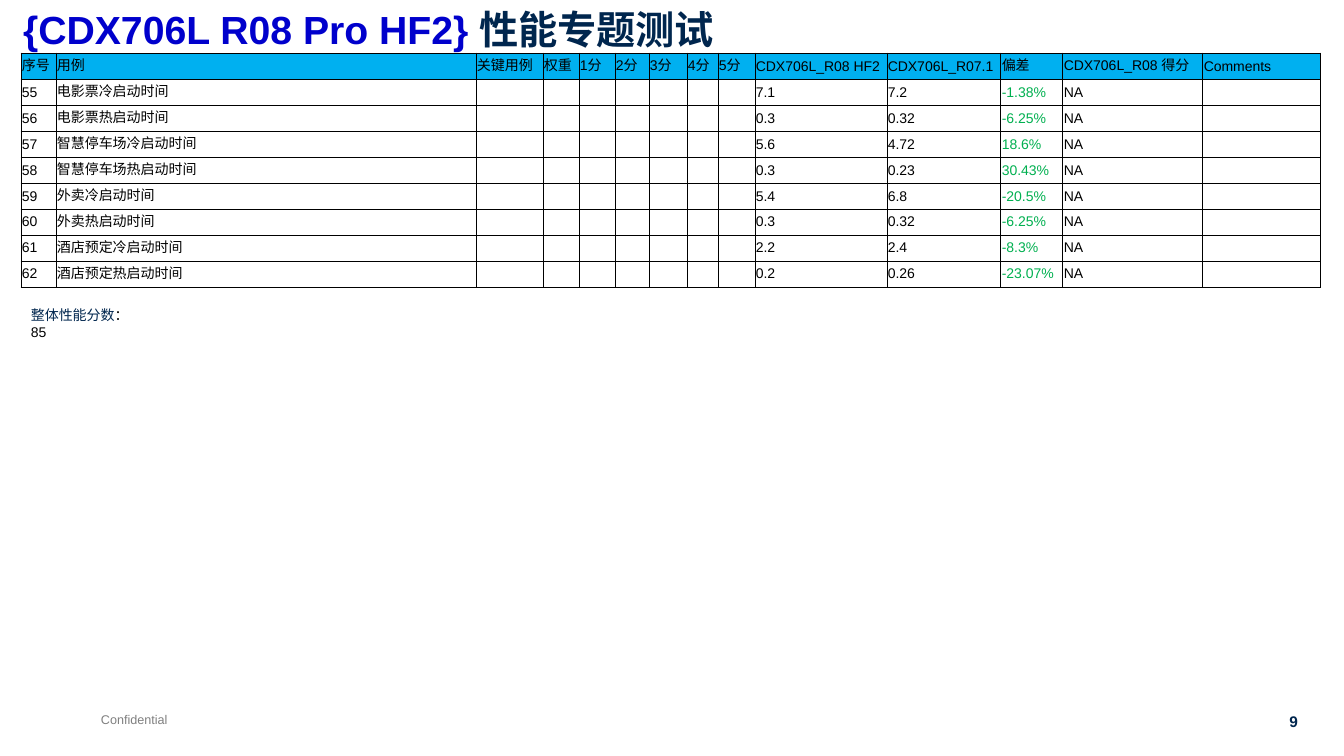
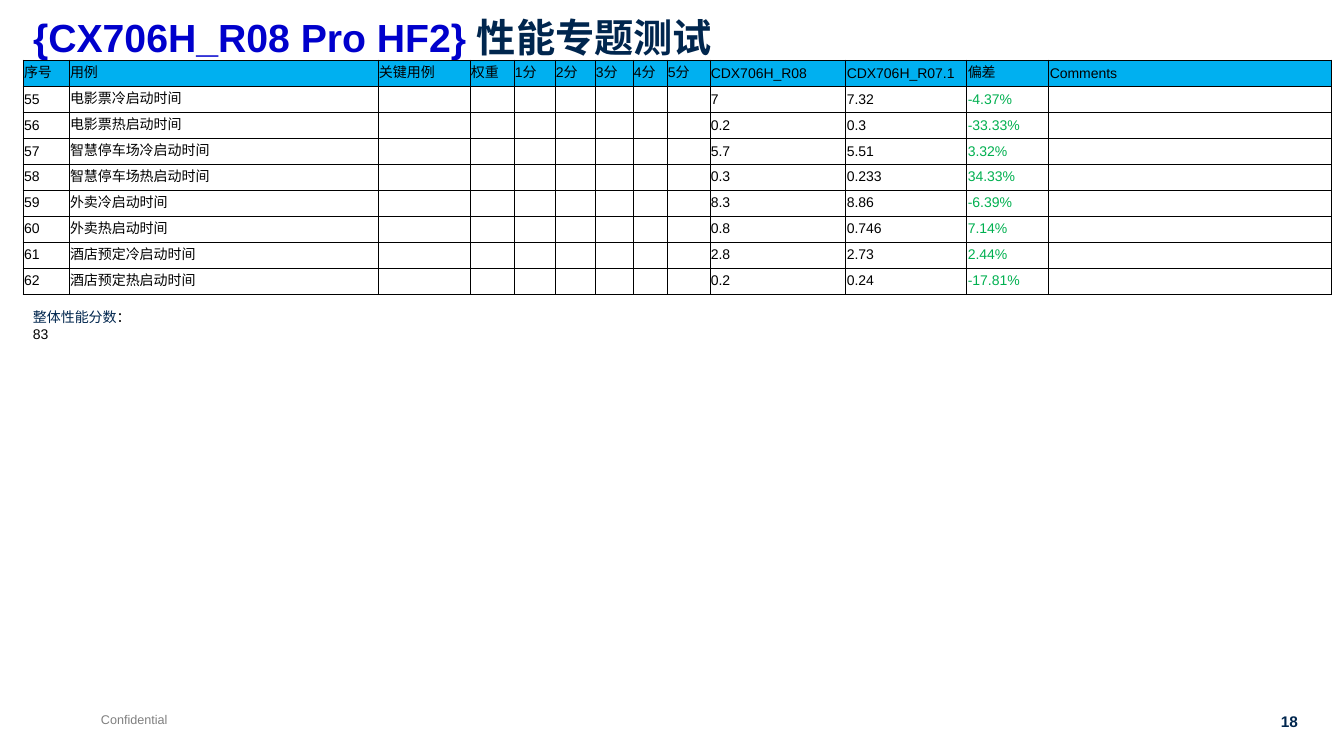
from lxml import etree
from pptx import Presentation
from pptx.dml.color import RGBColor
from pptx.enum.text import MSO_ANCHOR, MSO_AUTO_SIZE, PP_ALIGN
from pptx.oxml.ns import qn
from pptx.util import Emu, Pt

LEFT, RIGHT = PP_ALIGN.LEFT, PP_ALIGN.RIGHT
MIDDLE, BOTTOM = MSO_ANCHOR.MIDDLE, MSO_ANCHOR.BOTTOM
NO_FIT = MSO_AUTO_SIZE.NONE

WIDE, HIGH = 1344, 756
SCALE = 12192000 / WIDE
FONT = "Arial"
NAVY, BLUE, SKY = "00264E", "0000CC", "00B0F0"
GREEN, GREY, BLACK = "00B050", "808080", "000000"
ROW = 26
FIRST = 55

CASES = [
    "电影票冷启动时间", "电影票热启动时间",
    "智慧停车场冷启动时间", "智慧停车场热启动时间",
    "外卖冷启动时间", "外卖热启动时间",
    "酒店预定冷启动时间", "酒店预定热启动时间",
]
HEADS = ["序号", "用例", "关键用例", "权重"] + [f"{n}分" for n in range(1, 6)]
BLANKS = [""] * 7

PAGES = [
    {
        "page": 9, "name": "{CDX706L R08 Pro HF2} ", "score": 85,
        "title": (13, 0), "table": (21, 53), "note": (21, 302),
        "cols": [35, 420, 67, 36, 36, 34, 38, 31, 37, 132, 114, 62, 140, 118],
        "heads": ["CDX706L_R08 HF2", "CDX706L_R07.1", "偏差",
                  "CDX706L_R08 得分", "Comments"],
        "tail": ["NA", ""],
        "data": [
            ("7.1", "7.2", "-1.38%"), ("0.3", "0.32", "-6.25%"),
            ("5.6", "4.72", "18.6%"), ("0.3", "0.23", "30.43%"),
            ("5.4", "6.8", "-20.5%"), ("0.3", "0.32", "-6.25%"),
            ("2.2", "2.4", "-8.3%"), ("0.2", "0.26", "-23.07%"),
        ],
    },
    {
        "page": 18, "name": "{CX706H_R08 Pro HF2} ", "score": 83,
        "title": (23, 8), "table": (23, 60), "note": (23, 304),
        "cols": [46, 309, 92, 44, 41, 40, 38, 34, 43, 136, 121, 82, 283],
        "heads": ["CDX706H_R08", "CDX706H_R07.1", "偏差", "Comments"],
        "tail": [""],
        "data": [
            ("7", "7.32", "-4.37%"), ("0.2", "0.3", "-33.33%"),
            ("5.7", "5.51", "3.32%"), ("0.3", "0.233", "34.33%"),
            ("8.3", "8.86", "-6.39%"), ("0.8", "0.746", "7.14%"),
            ("2.8", "2.73", "2.44%"), ("0.2", "0.24", "-17.81%"),
        ],
    },
]


def px(n):
    return Emu(round(n * SCALE))


def rgb(code):
    return RGBColor.from_string(code)


def style(font, size, color, bold=False):
    font.name, font.size, font.bold = FONT, Pt(size), bold
    font.color.rgb = rgb(color)


def add_runs(para, parts):
    """Add (text, colour) runs that share the paragraph's font."""
    for text, color in parts:
        run = para.add_run()
        run.text = text
        run.font.color.rgb = rgb(color)


def add_box(slide, x, y, w, h, wrap=False):
    box = slide.shapes.add_textbox(px(x), px(y), px(w), px(h))
    box.text_frame.word_wrap = wrap
    return box.text_frame.paragraphs[0]


def add_title(slide, x, y, name):
    title = slide.shapes.title
    title.left, title.top = px(x), px(y)
    title.width, title.height = px(1194), px(64)
    frame = title.text_frame
    frame.auto_size, frame.vertical_anchor = NO_FIT, MIDDLE
    para = frame.paragraphs[0]
    para.alignment, para.line_spacing = LEFT, 0.9
    style(para.font, 28, BLUE, True)
    add_runs(para, [(name, BLUE), ("性能专题测试", NAVY)])


def add_footer(slide, page):
    mark = add_box(slide, 91, 707, 88, 25)
    mark.text = "Confidential"
    style(mark.font, 9, GREY)
    num = add_box(slide, 1269, 707, 39, 29)
    num.text, num.alignment = str(page), RIGHT
    style(num.font, 11, NAVY, True)


def add_edges(cell):
    props = cell._tc.get_or_add_tcPr()
    for side in ("lnL", "lnR", "lnT", "lnB"):
        line = etree.SubElement(props, qn(f"a:{side}"), w=str(Pt(0.5)))
        fill = etree.SubElement(line, qn("a:solidFill"))
        etree.SubElement(fill, qn("a:srgbClr"), val=BLACK)


def fill_cell(cell, text, color, head):
    cell.margin_left = cell.margin_top = cell.margin_right = px(1)
    cell.margin_bottom = px(5)
    cell.vertical_anchor = BOTTOM
    para = cell.text_frame.paragraphs[0]
    para.text = text
    style(para.font, 10, color)
    if not text:
        etree.SubElement(para._p, qn("a:endParaRPr"), sz="1000")
    add_edges(cell)
    if head:
        cell.fill.solid()
        cell.fill.fore_color.rgb = rgb(SKY)
    else:
        cell.fill.background()


def add_grid(slide, x, y, cols, rows):
    frame = slide.shapes.add_table(len(rows), len(cols), px(x), px(y),
                                   px(sum(cols)), px(ROW * len(rows)))
    table = frame.table
    table.first_row = table.horz_banding = False
    for col, wide in zip(table.columns, cols):
        col.width = px(wide)
    for r, row in enumerate(rows):
        table.rows[r].height = px(ROW)
        for c, text in enumerate(row):
            color = GREEN if r and text.endswith("%") else BLACK
            fill_cell(table.cell(r, c), text, color, r == 0)


def add_score(slide, x, y, score):
    para = add_box(slide, x, y, 130, 27, wrap=True)
    style(para.font, 10, NAVY)
    add_runs(para, [("整体性能分数", NAVY), (f"：{score}", BLACK)])


def add_page(deck, item):
    slide = deck.slides.add_slide(deck.slide_layouts[5])
    add_footer(slide, item["page"])
    add_title(slide, *item["title"], item["name"])
    rows = [HEADS + item["heads"]]
    for i, (case, data) in enumerate(zip(CASES, item["data"])):
        rows.append([str(FIRST + i), case, *BLANKS, *data, *item["tail"]])
    add_grid(slide, *item["table"], item["cols"], rows)
    add_score(slide, *item["note"], item["score"])


def main():
    deck = Presentation()
    deck.slide_width, deck.slide_height = px(WIDE), px(HIGH)
    for item in PAGES:
        add_page(deck, item)
    deck.save("out.pptx")


if __name__ == "__main__":
    main()
